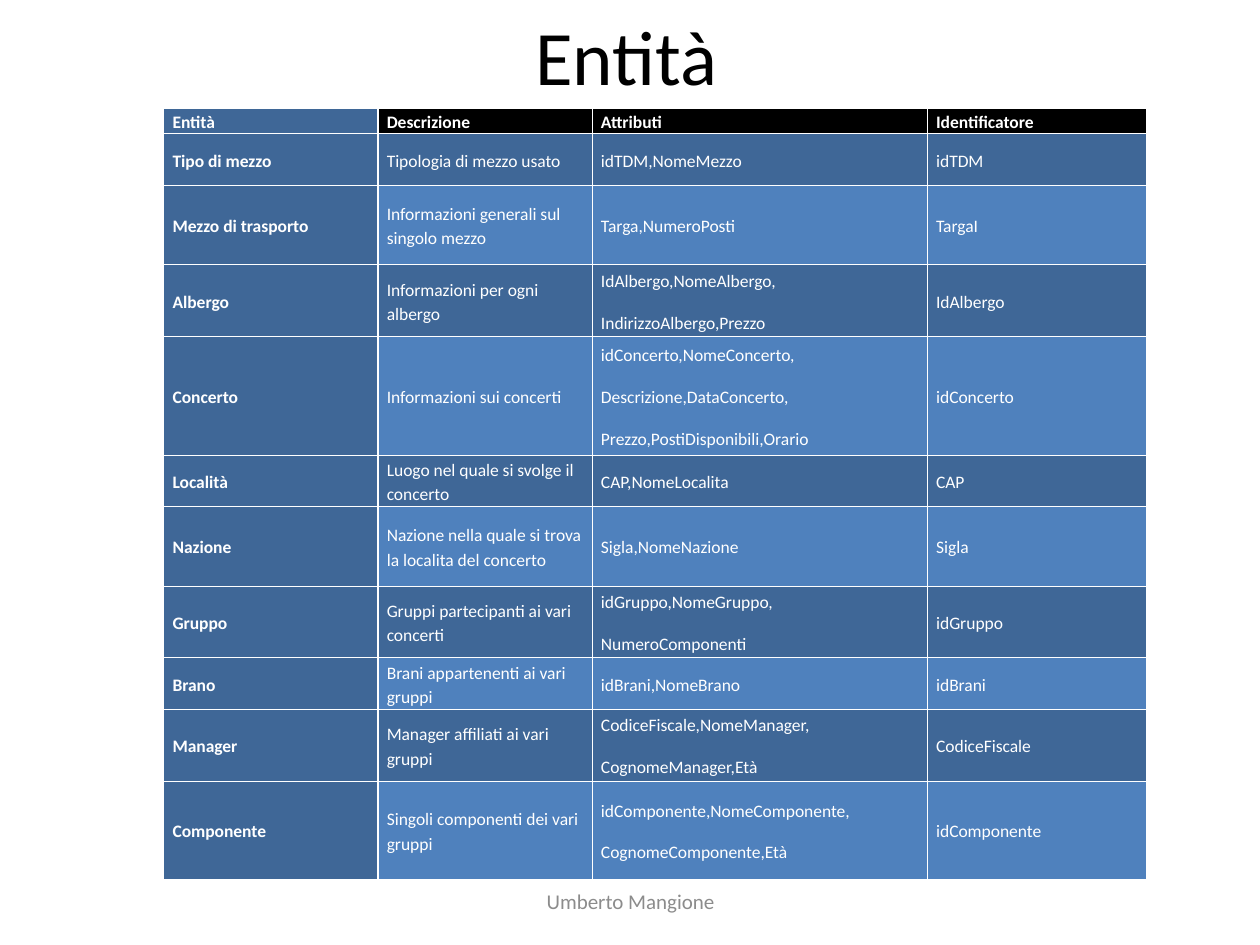
from dataclasses import dataclass

from lxml import etree
from pptx import Presentation, util as u
from pptx.dml.color import RGBColor
from pptx.enum import text
from pptx.oxml.ns import qn


@dataclass(frozen=True)
class Theme:
    """Colours, font and type sizes of the slide."""
    font: str = "Calibri"
    title_size: int = 44
    footer_size: int = 12
    table_size: int = 10
    ink: str = "000000"
    grey: str = "8C8C8C"
    white: str = "FFFFFF"
    dark_blue: str = "3F6797"
    light_blue: str = "4F81BD"


THEME = Theme()
WIDTH, HEIGHT = 10, 7.5
COLUMNS = [1.7, 1.7, 2.66, 1.74]
HEADER_HEIGHT = 0.2
HEADER = ["Entità", "Descrizione", "Attributi", "Identificatore"]
ENTITIES = [
    (0.41, "Tipo di mezzo", "Tipologia di mezzo usato", "idTDM,NomeMezzo", "idTDM"),
    (0.63, "Mezzo di trasporto", "Informazioni generali sul singolo mezzo",
     "Targa,NumeroPosti", "TargaI"),
    (0.57, "Albergo", "Informazioni per ogni albergo",
     "IdAlbergo,NomeAlbergo,\nIndirizzoAlbergo,Prezzo", "IdAlbergo"),
    (0.94, "Concerto", "Informazioni sui concerti",
     "idConcerto,NomeConcerto,\nDescrizione,DataConcerto,\nPrezzo,PostiDisponibili,Orario",
     "idConcerto"),
    (0.41, "Località", "Luogo nel quale si svolge il concerto", "CAP,NomeLocalita", "CAP"),
    (0.63, "Nazione", "Nazione nella quale si trova la localita del concerto",
     "Sigla,NomeNazione", "Sigla"),
    (0.57, "Gruppo", "Gruppi partecipanti ai vari concerti",
     "idGruppo,NomeGruppo,\nNumeroComponenti", "idGruppo"),
    (0.41, "Brano", "Brani appartenenti ai vari gruppi", "idBrani,NomeBrano", "idBrani"),
    (0.57, "Manager", "Manager affiliati ai vari gruppi",
     "CodiceFiscale,NomeManager,\nCognomeManager,Età", "CodiceFiscale"),
    (0.78, "Componente", "Singoli componenti dei vari gruppi",
     "idComponente,NomeComponente,\nCognomeComponente,Età", "idComponente"),
]


def add_run(paragraph, content, size, color, bold=False):
    """Add one styled run to a paragraph."""
    run = paragraph.add_run()
    run.text = content
    run.font.name = THEME.font
    run.font.size = u.Pt(size)
    run.font.bold = bold
    run.font.color.rgb = RGBColor.from_string(color)


def add_label(slide, box, content, size, color):
    """Add a centred text box placed by shares of the slide's size."""
    left, top, width, height = box
    shape = slide.shapes.add_textbox(
        u.Inches(left * WIDTH), u.Inches(top * HEIGHT),
        u.Inches(width * WIDTH), u.Inches(height * HEIGHT))
    frame = shape.text_frame
    frame.word_wrap = True
    frame.vertical_anchor = text.MSO_ANCHOR.MIDDLE
    paragraph = frame.paragraphs[0]
    paragraph.alignment = text.PP_ALIGN.CENTER
    add_run(paragraph, content, size, color)


def cell_color(row, column):
    """Return the fill for a position in the table."""
    if row == 0 and column > 0:
        return THEME.ink
    return THEME.dark_blue if column == 0 or row % 2 else THEME.light_blue


def add_borders(cell):
    """Draw thin white lines on the four sides of a cell."""
    properties = cell._tc.get_or_add_tcPr()
    for position, side in enumerate(("a:lnL", "a:lnR", "a:lnT", "a:lnB")):
        line = etree.Element(qn(side), w=str(u.Pt(0.75)))
        fill = etree.SubElement(line, qn("a:solidFill"))
        etree.SubElement(fill, qn("a:srgbClr"), val=THEME.white)
        properties.insert(position, line)


def fill_cell(cell, content, color, bold):
    """Style a cell and write one paragraph for each line of content."""
    cell.fill.solid()
    cell.fill.fore_color.rgb = RGBColor.from_string(color)
    cell.vertical_anchor = text.MSO_ANCHOR.MIDDLE
    cell.margin_left = cell.margin_right = u.Inches(0.07)
    cell.margin_top = cell.margin_bottom = 0
    add_borders(cell)
    frame = cell.text_frame
    for index, line in enumerate(content.split("\n")):
        paragraph = frame.add_paragraph() if index else frame.paragraphs[0]
        paragraph.line_spacing = 1.15
        paragraph.space_after = u.Pt(10)
        add_run(paragraph, line, THEME.table_size, THEME.white, bold)


def add_entity_table(slide, left, top):
    """Add the table of entities at a share of the slide's size."""
    rows = [(HEADER_HEIGHT, *HEADER), *ENTITIES]
    table = slide.shapes.add_table(
        len(rows), len(COLUMNS), u.Inches(left * WIDTH), u.Inches(top * HEIGHT),
        u.Inches(sum(COLUMNS)), u.Inches(sum(row[0] for row in rows))).table
    table.horz_banding = False
    for column, width in zip(table.columns, COLUMNS):
        column.width = u.Inches(width)
    for row, (height, *contents) in enumerate(rows):
        table.rows[row].height = u.Inches(height)
        for column, content in enumerate(contents):
            fill_cell(table.cell(row, column), content,
                      cell_color(row, column), row == 0 or column == 0)


def main():
    """Build and save the slide."""
    presentation = Presentation()
    presentation.slide_width = u.Inches(WIDTH)
    presentation.slide_height = u.Inches(HEIGHT)
    slide = presentation.slides.add_slide(presentation.slide_layouts[6])
    add_label(slide, (0.047, 0, 0.9, 0.115), "Entità", THEME.title_size, THEME.ink)
    add_entity_table(slide, 0.13, 0.115)
    add_label(slide, (0.342, 0.927, 0.317, 0.053), "Umberto Mangione",
              THEME.footer_size, THEME.grey)
    presentation.save("out.pptx")


if __name__ == "__main__":
    main()
